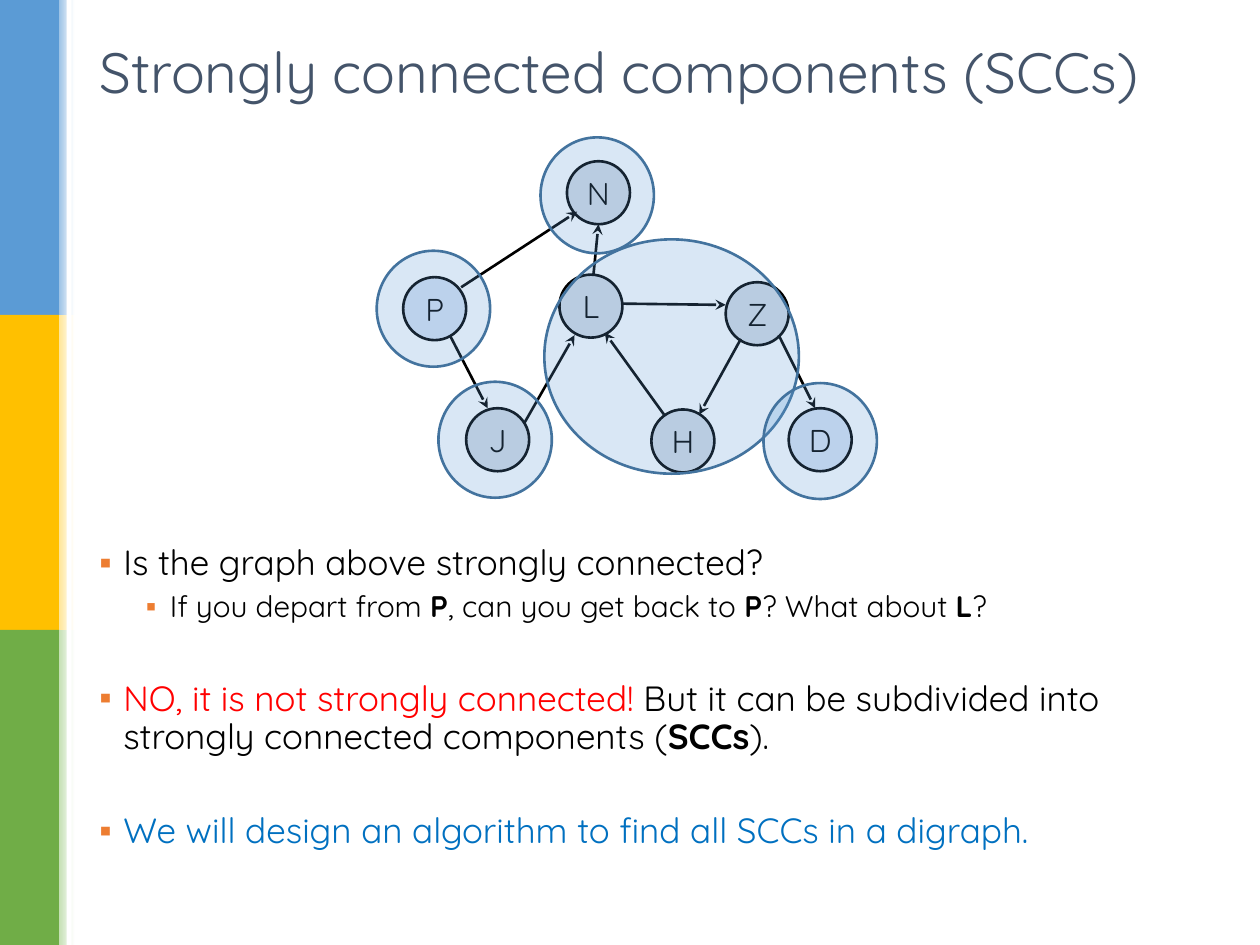
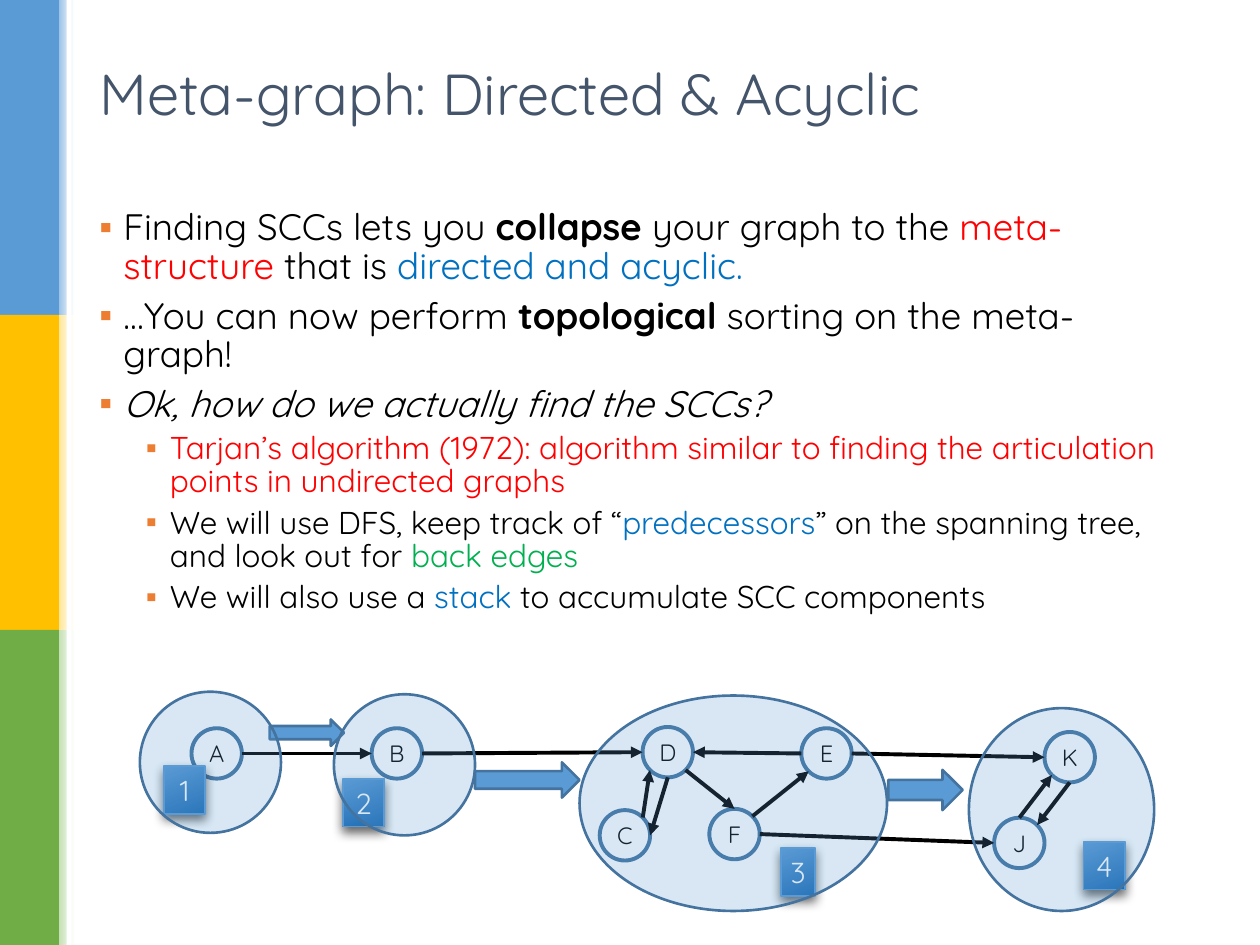
"""Build two slides on strongly connected components and the meta-graph."""
import math

import pptx
import pptx.dml.color
import pptx.enum.dml
import pptx.enum.shapes
import pptx.enum.text
import pptx.oxml
import pptx.oxml.ns
import pptx.util
from lxml import etree

RGB = pptx.dml.color.RGBColor
SHAPE = pptx.enum.shapes.MSO_SHAPE
ALIGN = pptx.enum.text.PP_ALIGN
ANCHOR = pptx.enum.text.MSO_ANCHOR

BLACK = RGB(0x00, 0x00, 0x00)
WHITE = RGB(0xFF, 0xFF, 0xFF)
SLATE = RGB(0x44, 0x54, 0x6A)
BLUE = RGB(0x5B, 0x9B, 0xD5)
GOLD = RGB(0xFF, 0xC0, 0x00)
LEAF = RGB(0x70, 0xAD, 0x47)
PALE_BLUE = RGB(0x9D, 0xC3, 0xE6)
PALE_GOLD = RGB(0xFF, 0xE6, 0x99)
PALE_LEAF = RGB(0xC5, 0xE0, 0xB4)
OUTLINE = RGB(0x43, 0x73, 0x9E)
DEEP_BLUE = RGB(0x1D, 0x6C, 0xB3)
ORANGE = RGB(0xED, 0x7D, 0x31)
RED = RGB(0xFF, 0x00, 0x00)
AZURE = RGB(0x00, 0x70, 0xC0)
GREEN = RGB(0x00, 0xB0, 0x50)
NODE_GREY = RGB(0xD6, 0xDC, 0xE5)
NODE_BLUE = RGB(0xDA, 0xE3, 0xF3)

FONT = "Quicksand"
BANDS = [(BLUE, PALE_BLUE), (GOLD, PALE_GOLD), (LEAF, PALE_LEAF)]
COMPASS = {"E": 0, "SE": 45, "S": 90, "SW": 135, "W": 180, "NW": 225, "N": 270, "NE": 315}


def px(length):
    """Turn px, at 100 to the inch, into EMU."""
    return pptx.util.Emu(round(length * 9144))


def element(parent, tag, **attributes):
    """Append a drawing element and return it."""
    return etree.SubElement(parent, pptx.oxml.ns.qn(tag), attributes)


def write(para, text, size=20, color=BLACK, bold=False, italic=False):
    """Add one formatted span to a paragraph."""
    span = para.add_run()
    span.text = text
    font = span.font
    font.name, font.size = FONT, pptx.util.Pt(size)
    font.bold, font.italic = bold, italic
    font.color.rgb = color


def site(box, compass):
    """Give the point of a round node that faces a compass direction."""
    left, top, size = box
    angle = math.radians(COMPASS[compass])
    middle = size / 2
    return left + middle + middle * math.cos(angle), top + middle + middle * math.sin(angle)


class Slides:
    """Hold the deck style and the current page."""

    def __init__(self):
        """Start an empty deck."""
        self.deck = pptx.Presentation()
        self.deck.slide_width, self.deck.slide_height = px(1000), px(750)
        self.page = None

    def start(self, title, box, size):
        """Open a page with its side bands and title."""
        self.page = self.deck.slides.add_slide(self.deck.slide_layouts[5])
        for row, (strong, pale) in enumerate(BANDS):
            self.shape(SHAPE.RECTANGLE, (0, 250 * row, 47, 250), strong)
            fade = self.shape(SHAPE.RECTANGLE, (47, 250 * row, 12, 250))
            self.gradient(fade, pale, WHITE, 0)
        self.shape(SHAPE.RECTANGLE, (53, 0, 4, 750), WHITE)
        heading = self.page.shapes.title
        heading.left, heading.top, heading.width, heading.height = map(px, box)
        frame = heading.text_frame
        frame.auto_size = pptx.enum.text.MSO_AUTO_SIZE.NONE
        frame.vertical_anchor = ANCHOR.MIDDLE
        para = frame.paragraphs[0]
        para.alignment = ALIGN.LEFT
        para.line_spacing = 0.9
        write(para, title, size=size, color=SLATE)

    def shape(self, kind, box, fill=None, line=None, weight=1.5):
        """Add a flat preset shape."""
        shape = self.page.shapes.add_shape(kind, *map(px, box))
        shape.shadow.inherit = False
        if fill is not None:
            shape.fill.solid()
            shape.fill.fore_color.rgb = fill
        if line is None:
            shape.line.fill.background()
        else:
            shape.line.color.rgb = line
            shape.line.width = pptx.util.Pt(weight)
        return shape

    def gradient(self, shape, first, last, angle):
        """Fill a shape with a two-colour gradient."""
        shape.fill.gradient()
        shape.fill.gradient_angle = angle
        for stop, color, position in zip(shape.fill.gradient_stops, (first, last), (0, 1)):
            stop.color.rgb = color
            stop.position = position

    def label(self, shape, text, size, color=BLACK):
        """Centre a short label in a shape."""
        frame = shape.text_frame
        frame.word_wrap = False
        frame.vertical_anchor = ANCHOR.MIDDLE
        frame.margin_left = frame.margin_right = frame.margin_top = frame.margin_bottom = 0
        frame.paragraphs[0].alignment = ALIGN.CENTER
        write(frame.paragraphs[0], text, size=size, color=color)

    def node(self, name, box, size, fill, line, weight):
        """Add a round graph node."""
        left, top, width = box
        circle = self.shape(SHAPE.OVAL, (left, top, width, width), fill, line, weight)
        self.label(circle, name, size)

    def edge(self, start, end, weight, head):
        """Add an arrow from one point to another."""
        straight = pptx.enum.shapes.MSO_CONNECTOR.STRAIGHT
        arrow = self.page.shapes.add_connector(straight, *map(px, (*start, *end)))
        arrow.line.color.rgb = BLACK
        arrow.line.width = pptx.util.Pt(weight)
        element(arrow.line._get_or_add_ln(), "a:tailEnd", type=head)
        element(arrow._element.spPr, "a:effectLst")

    def component(self, box):
        """Add the translucent ellipse that marks a component."""
        ellipse = self.shape(SHAPE.OVAL, box, BLUE, OUTLINE)
        color = ellipse._element.spPr.find(".//" + pptx.oxml.ns.qn("a:srgbClr"))
        element(color, "a:alpha", val="23000")

    def tag(self, number, box):
        """Add a shaded number box with a soft shadow."""
        square = self.shape(SHAPE.RECTANGLE, box, line=BLUE, weight=1)
        self.gradient(square, BLUE, DEEP_BLUE, 291)
        effects = square._element.spPr.find(pptx.oxml.ns.qn("a:effectLst"))
        shadow = element(effects, "a:outerShdw", blurRad="76200", dist="38100", dir="5400000")
        color = element(shadow, "a:srgbClr", val="000000")
        element(color, "a:alpha", val="60000")
        self.label(square, number, 16.5, WHITE)

    def bullets(self, box, items, sizes, spacing):
        """Add a bulleted box of (level, space before, spans) items."""
        frame = self.page.shapes.add_textbox(*map(px, box)).text_frame
        frame.word_wrap = True
        for index, (level, before, spans) in enumerate(items):
            para = frame.paragraphs[0] if index == 0 else frame.add_paragraph()
            para.level = level
            para.line_spacing = spacing
            para.space_before = pptx.util.Pt(before)
            properties = para._p.get_or_add_pPr()
            properties.set("marL", str(px((19, 56)[level])))
            properties.set("indent", str(px(-19)))
            color = element(properties, "a:buClr")
            element(color, "a:srgbClr", val=str(ORANGE))
            element(properties, "a:buFont", typeface="Arial")
            element(properties, "a:buChar", char="▪")
            for text, style in spans:
                write(para, text, size=sizes[level], **style)


PLAIN, BOLD, ITALIC = {}, {"bold": True}, {"italic": True}
IN_RED, IN_AZURE, IN_GREEN = {"color": RED}, {"color": AZURE}, {"color": GREEN}


def components_slide(slides):
    """Draw the digraph with its components."""
    slides.start("Strongly connected components (SCCs)", (69, 26, 887, 68), 32.4)
    slides.bullets((69, 428, 915, 285), [
        (0, 0, [("Is the graph above strongly connected?", PLAIN)]),
        (1, 5, [("If you depart from ", PLAIN), ("P", BOLD), (", can you get back to ", PLAIN),
                ("P", BOLD), ("? What about ", PLAIN), ("L", BOLD), ("?", PLAIN)]),
        (0, 32.5, [("NO, it is not strongly connected!", IN_RED),
                   (" But it can be subdivided into strongly connected components (", PLAIN),
                   ("SCCs", BOLD), (").", PLAIN)]),
        (0, 32.5, [("We will design an algorithm to find all SCCs in a digraph.", IN_AZURE)]),
    ], (20, 17), 0.9)
    nodes = {"P": (320, 220), "J": (370, 324), "N": (450, 128), "Z": (576, 224),
             "H": (517, 325), "D": (626, 324), "L": (444, 218)}
    for name, corner in nodes.items():
        fill = NODE_BLUE if name in "PD" else NODE_GREY
        slides.node(name, (*corner, 50), 18, fill, BLACK, 1.5)
    edges = [((366, 228), (458, 168)), ((494, 241), (576, 242)), ((588, 269), (555, 329)),
             ((357, 266), (387, 324)), ((618, 266), (647, 324)), ((471, 218), (475, 178)),
             ((416, 336), (456, 266)), ((527, 329), (480, 264))]
    for start, end in edges:
        slides.edge(start, end, 1.5, "stealth")
    slides.component((432, 190, 202, 186))
    for left, top in [(606, 304), (429, 109), (299, 199), (348, 303)]:
        slides.component((left, top, 90, 92))


def meta_graph_slide(slides):
    """Draw the meta-graph with its components in order."""
    slides.start("Meta-graph: Directed & Acyclic", (69, 40, 862, 74), 33)
    slides.bullets((69, 162, 862, 514), [
        (0, 0, [("Finding SCCs lets you ", PLAIN), ("collapse ", BOLD),
                ("your graph to the ", PLAIN), ("meta-structure ", IN_RED),
                ("that is ", PLAIN), ("directed and acyclic.", IN_AZURE)]),
        (0, 6.5, [("…You can now perform ", PLAIN), ("topological", BOLD),
                  (" sorting on the meta-graph!", PLAIN)]),
        (0, 6.5, [("Ok, how do we actually find the SCCs?", ITALIC)]),
        (1, 5, [("Tarjan’s algorithm (1972): algorithm similar to finding the "
                 "articulation points in undirected graphs", IN_RED)]),
        (1, 5, [("We will use DFS, keep track of “", PLAIN), ("predecessors", IN_AZURE),
                ("” on the spanning tree, and look out for ", PLAIN),
                ("back edges", IN_GREEN)]),
        (1, 5, [("We will also use a ", PLAIN), ("stack", IN_AZURE),
                (" to accumulate SCC components", PLAIN)]),
    ], (21, 18), 0.87)
    corners = {"A": (152, 578), "B": (295, 578), "C": (476, 643), "D": (510, 577),
               "E": (636, 578), "F": (563, 642), "J": (789, 649), "K": (829, 581)}
    nodes = {name: (*corner, 40) for name, corner in corners.items()}
    for name, box in nodes.items():
        slides.node(name, box, 13.5, WHITE, OUTLINE, 2.25)
    edges = ["A E B W", "B E D W", "C NE D SW", "D S C E", "D SE F N", "F NE E SW",
             "E W D E", "E E K W", "F E J W", "K S J NE", "J N K SW"]
    for source, leaving, target, entering in map(str.split, edges):
        slides.edge(site(nodes[source], leaving), site(nodes[target], entering), 2.25, "triangle")
    for box in [(214, 571, 59, 21), (377, 605, 83, 28), (705, 611, 59, 32)]:
        slides.shape(SHAPE.RIGHT_ARROW, box, BLUE, OUTLINE)
    tags = [(130, 608, 33), (272, 618, 33), (620, 673, 27), (860, 668, 33)]
    for number, (left, top, width) in enumerate(tags, 1):
        slides.tag(str(number), (left, top, width, 38))
    for box in [(111, 549, 112, 112), (265, 551, 112, 112),
                (460, 552, 244, 171), (769, 562, 147, 161)]:
        slides.component(box)


def main():
    """Build and save the deck."""
    slides = Slides()
    components_slide(slides)
    meta_graph_slide(slides)
    slides.deck.save("out.pptx")


if __name__ == "__main__":
    main()
